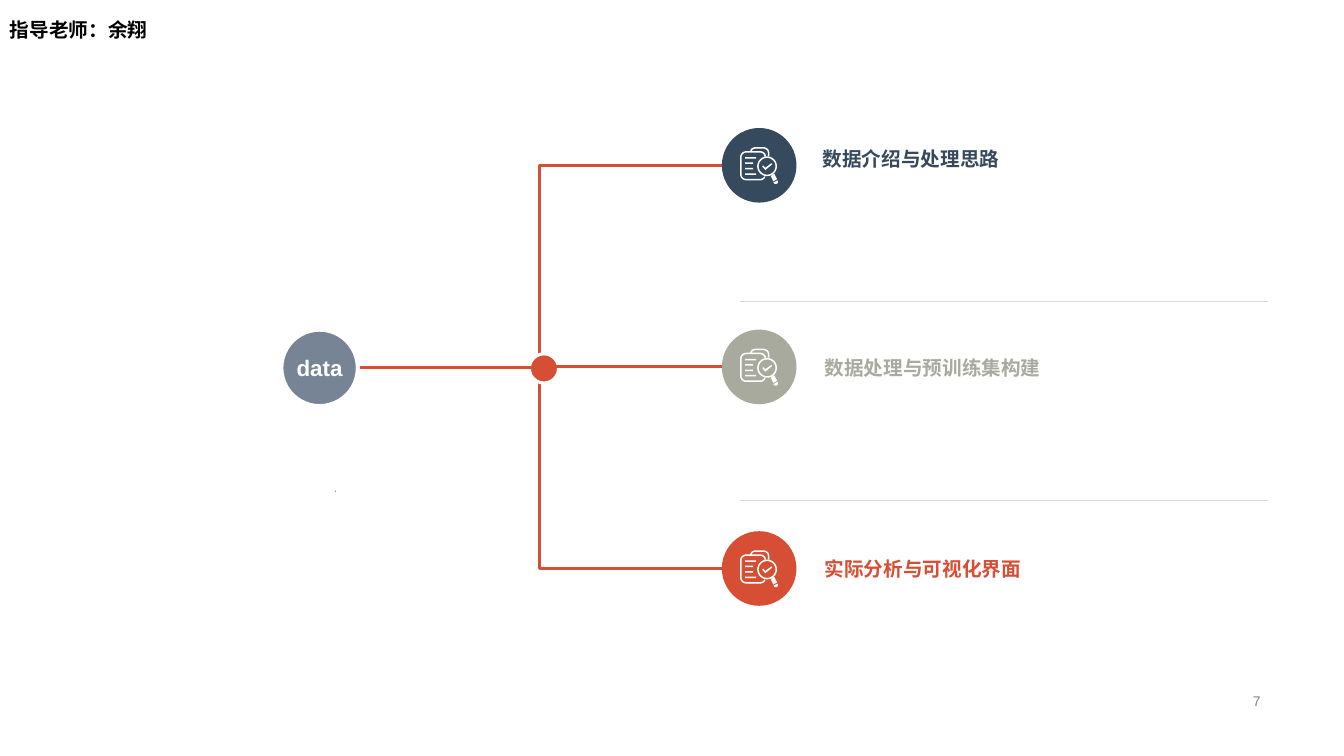
from dataclasses import dataclass
from math import cos, pi, sin

from pptx import Presentation
from pptx import util as u
from pptx.dml.color import RGBColor
from pptx.enum import shapes, text
from pptx.oxml import xmlchemy as ox


@dataclass(frozen=True)
class Theme:
    """Colours and type sizes of the deck."""
    font: str = "Arial"
    navy: str = "354A5D"
    sage: str = "A7AA9D"
    red: str = "D64F34"
    slate: str = "778495"
    rule: str = "D9D9D9"
    speck: str = "D1DBE5"
    speck_edge: str = "7493B0"
    white: str = "FFFFFF"
    black: str = "000000"
    grey: str = "808080"
    heading: int = 14
    root: int = 16
    number: int = 10


THEME = Theme()
TOPICS = [
    ("数据介绍与处理思路", THEME.navy, 8.06, 1.31),
    ("数据处理与预训练集构建", THEME.sage, 8.08, 3.39),
    ("实际分析与可视化界面", THEME.red, 8.08, 5.38),
]
CLIPBOARD = [
    (24, 29), (24.3, 29.2, 24.7, 29.3, 25.2, 29.3), (24.5, 31.5, 22.5, 33, 20, 33),
    (6, 33), (2.7, 33, 0, 30.3, 0, 27), (0, 10), (0, 6.7, 2.7, 4, 6, 4),
    (10, 4), (10.4, 1.7, 12.5, 0, 15.5, 0), (23, 0), (26.3, 0, 29, 2.3, 29, 5.3),
    (29, 9), (28.5, 8.8, 28, 8.7, 27.5, 8.7), (27.5, 5.3),
    (27.5, 3.2, 25.5, 1.5, 23, 1.5), (15.5, 1.5), (13.5, 1.5, 12, 2.6, 11.5, 4),
    (20, 4), (22.9, 4, 25.3, 6, 25.8, 8.7), (25.3, 8.8, 24.8, 9, 24.3, 9.2),
    (23.8, 7, 22.1, 5.5, 20, 5.5), (6, 5.5), (3.5, 5.5, 1.5, 7.5, 1.5, 10),
    (1.5, 27), (1.5, 29.5, 3.5, 31.5, 6, 31.5), (20, 31.5),
    (21.8, 31.5, 23.3, 30.5, 24, 29),
]
HANDLE = [(34, 26.5), (30.5, 28.8), (33, 34), (36.7, 31.8)]
TIP = [(37, 33), (33, 35.2), (34, 36.6, 35.5, 37, 36.7, 36.2), (37.9, 35.4, 38, 34.2, 37, 33)]
TICK = [(25, 20.5), (23, 18.2), (22, 19.2), (25, 22.8), (32, 17), (31, 16)]
TEXT_LINES = [(10, 11), (15.2, 8), (20.7, 8), (26, 11)]


def colour(code):
    """Turn a hex code into a colour."""
    return RGBColor.from_string(code)


def paint(shape, fill, edge=None, weight=0):
    """Give a shape its fill and edge, without shadow."""
    shape.shadow.inherit = False
    shape.fill.solid()
    shape.fill.fore_color.rgb = colour(fill)
    if edge:
        shape.line.color.rgb = colour(edge)
        shape.line.width = u.Pt(weight)
    else:
        shape.line.fill.background()


def write(shape, words, size, code, bold=True, align=None, anchor=text.MSO_ANCHOR.MIDDLE):
    """Put one styled paragraph in a shape and return it."""
    frame = shape.text_frame
    frame.word_wrap = True
    frame.vertical_anchor = anchor
    para = frame.paragraphs[0]
    para.text = words
    para.alignment = align
    para.font.name = THEME.font
    para.font.size = u.Pt(size)
    para.font.bold = bold
    para.font.color.rgb = colour(code)
    return para


def add_label(page, box, *args, **options):
    """Place a text box and return its paragraph."""
    return write(page.shapes.add_textbox(*map(u.Inches, box)), *args, **options)


def add_disc(page, left, top, size, fill, edge=None, weight=0):
    """Place a circle."""
    disc = page.shapes.add_shape(shapes.MSO_SHAPE.OVAL, *map(u.Inches, (left, top, size, size)))
    paint(disc, fill, edge, weight)
    return disc


def add_line(page, kind, start, end, code, weight):
    """Place a connector between two points."""
    line = page.shapes.add_connector(kind, *map(u.Inches, (*start, *end)))
    line.line.color.rgb = colour(code)
    line.line.width = u.Pt(weight)
    line._element.spPr.append(ox.OxmlElement("a:effectLst"))


def flatten(outline, steps=6):
    """Turn line and cubic segments into points."""
    points = []
    for segment in outline:
        if len(segment) == 2:
            points.append(segment)
            continue
        nodes = [points[-1], segment[:2], segment[2:4], segment[4:]]
        for step in range(1, steps + 1):
            t = step / steps
            weights = ((1 - t) ** 3, 3 * t * (1 - t) ** 2, 3 * t * t * (1 - t), t ** 3)
            points.append(tuple(sum(w * node[axis] for w, node in zip(weights, nodes))
                                for axis in (0, 1)))
    return points


def ring(radius, count=40):
    """Return the points of a circle around the lens centre."""
    angles = [2 * pi * i / count for i in range(count)]
    return [(26.8 + radius * cos(a), 19 + radius * sin(a)) for a in angles]


def add_outline(page, left, top, contours):
    """Place a freeform whose contours are in hundredths of an inch."""
    placed = [[(u.Inches(left + x / 100), u.Inches(top + y / 100)) for x, y in contour]
              for contour in contours]
    builder = page.shapes.build_freeform(*placed[0][0], scale=1.0)
    for index, contour in enumerate(placed):
        if index:
            builder.move_to(*contour[0])
        builder.add_line_segments(contour[1:], close=True)
    return builder.convert_to_shape()


def add_icon(page, left, top):
    """Place the clipboard and magnifier icon."""
    bars = [[(5, y), (5 + width, y), (5 + width, y + 1.5), (5, y + 1.5)]
            for y, width in TEXT_LINES]
    contours = [flatten(CLIPBOARD), ring(9.8), ring(8.3), HANDLE, flatten(TIP), TICK, *bars]
    paint(add_outline(page, left, top, contours), THEME.white)


def add_topics(page, left, top, pitch):
    """Place the topic discs, labels and separating rules."""
    for index, (words, code, label_left, label_top) in enumerate(TOPICS):
        disc_top = top + index * pitch
        add_disc(page, left, disc_top, 0.74, code)
        add_icon(page, left + 0.18, disc_top + 0.19)
        add_label(page, (label_left, label_top, 4.52, 0.52), words, THEME.heading, code)
    for y in (2.99, 4.96):
        add_line(page, shapes.MSO_CONNECTOR.STRAIGHT, (left + 0.18, y), (12.58, y),
                 THEME.rule, 0.25)


def add_tree(page, left, middle, right, ends):
    """Place the root disc, its branches and the hub."""
    upper, centre, lower = ends
    for y in (upper, lower, centre):
        if y == centre:
            add_disc(page, 5.25, middle - 0.14, 0.29, THEME.red, THEME.white, 2.25)
        add_line(page, shapes.MSO_CONNECTOR.ELBOW, (left + 0.76, middle), (right, y),
                 THEME.red, 2)
    root = add_disc(page, left, middle - 0.38, 0.76, THEME.slate, THEME.white, 3)
    write(root, "data", THEME.root, THEME.white, align=text.PP_ALIGN.CENTER)
    root.text_frame.word_wrap = False


def build_topic_page(deck):
    """Build the page that branches into three topics."""
    page = deck.slides.add_slide(deck.slide_layouts[6])
    speck = add_outline(page, 3.32, 4.87, [[(0, 0), (1, 1), (1, 0)]])
    paint(speck, THEME.speck, THEME.speck_edge, 0.25)
    add_topics(page, 7.16, 1.27, 2)
    add_tree(page, 2.79, 3.65, 7.16, (1.64, 3.64, 5.64))
    add_label(page, (9.42, 6.84, 3.18, 0.23), "7", THEME.number, THEME.grey,
              bold=False, align=text.PP_ALIGN.RIGHT)
    title = add_label(page, (0, 0.06, 11.87, 0.4), "指导老师：余翔", THEME.heading,
                      THEME.black, anchor=text.MSO_ANCHOR.BOTTOM)
    title.line_spacing = 0.9


def main():
    """Create and save the deck."""
    deck = Presentation()
    deck.slide_width, deck.slide_height = u.Inches(13.33), u.Inches(7.5)
    build_topic_page(deck)
    deck.save("out.pptx")


if __name__ == "__main__":
    main()
